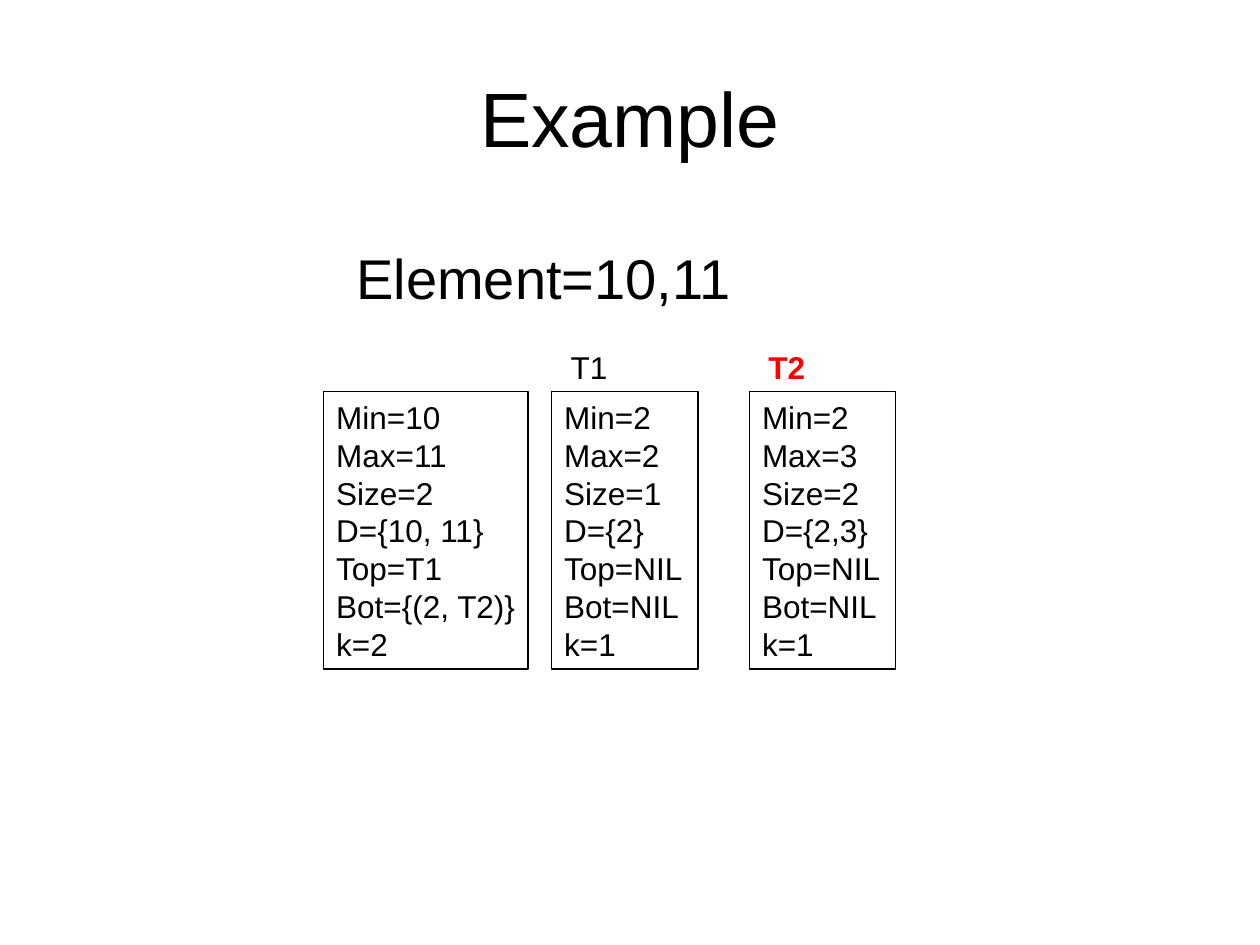
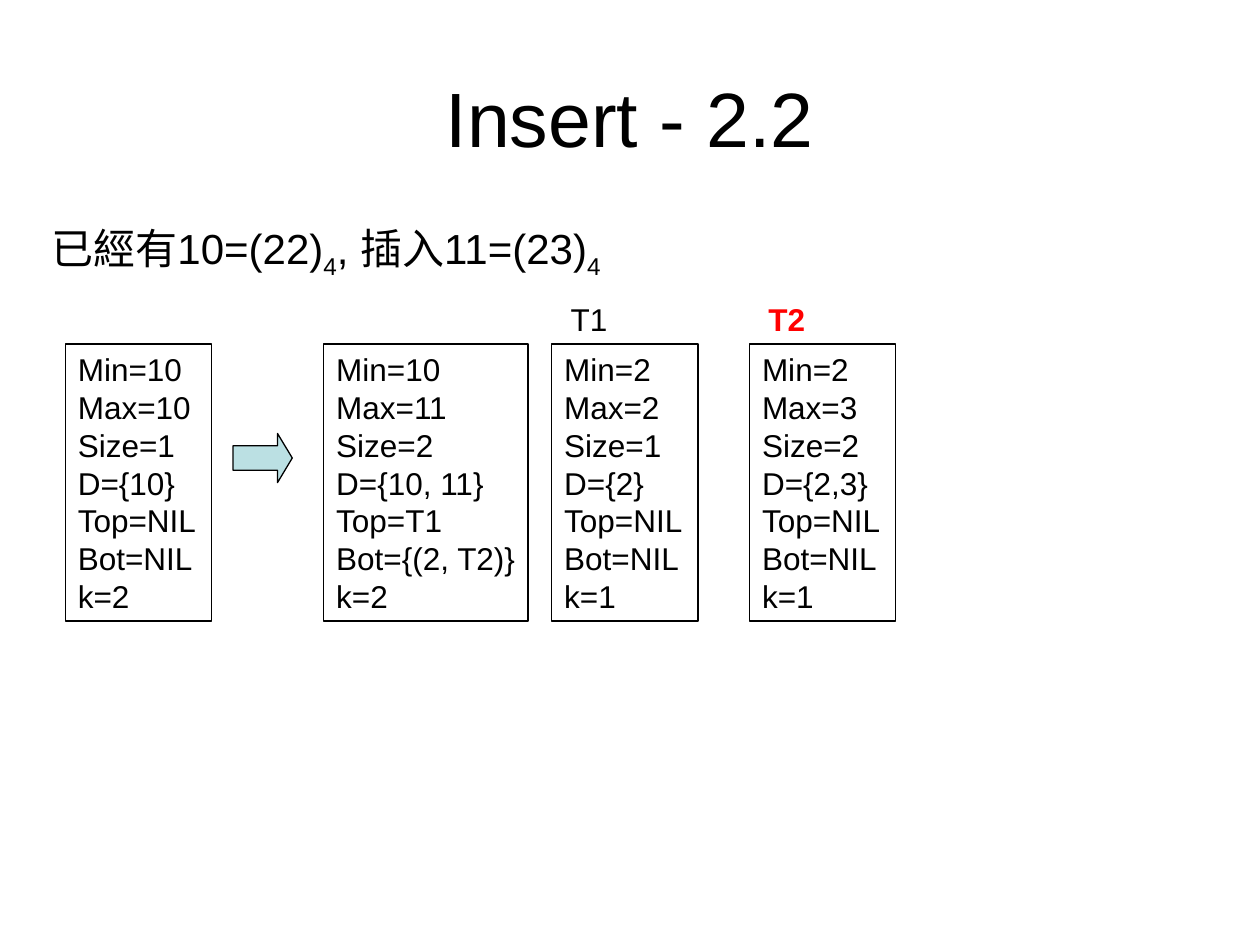
from dataclasses import dataclass

from pptx import Presentation
from pptx.dml.color import RGBColor
from pptx.enum.shapes import MSO_SHAPE
from pptx.enum.text import MSO_ANCHOR, MSO_AUTO_SIZE, PP_ALIGN
from pptx.util import Inches, Pt

RECTANGLE = MSO_SHAPE.RECTANGLE
RIGHT_ARROW = MSO_SHAPE.RIGHT_ARROW
TOP, MIDDLE = MSO_ANCHOR.TOP, MSO_ANCHOR.MIDDLE
GROW = MSO_AUTO_SIZE.SHAPE_TO_FIT_TEXT
LEFT, CENTER = PP_ALIGN.LEFT, PP_ALIGN.CENTER
TITLE_ONLY = 5


@dataclass(frozen=True)
class Theme:
    font: str = "Arial"
    ink: RGBColor = RGBColor(0x00, 0x00, 0x00)
    accent: RGBColor = RGBColor(0xFF, 0x00, 0x00)
    arrow: RGBColor = RGBColor(0xBB, 0xE0, 0xE3)
    title: Pt = Pt(44)
    headline: Pt = Pt(32)
    statement: Pt = Pt(24)
    body: Pt = Pt(18)
    outline: Pt = Pt(0.75)


THEME = Theme()
FIELDS = ("Min", "Max", "Size", "D", "Top", "Bot", "k")
NODE_HEIGHT = 2.2
LABEL_HEIGHT, LABEL_WIDTH = 0.4, 0.49
LABEL_INDENT = 0.05
WIDE, NARROW = 1.62, 1.16

NODE_BEFORE = ("10", "10", "1", "{10}", "NIL", "NIL", "2")
NODE_AFTER = ("10", "11", "2", "{10, 11}", "T1", "{(2, T2)}", "2")
NODE_T1 = ("2", "2", "1", "{2}", "NIL", "NIL", "1")
NODE_T2 = ("2", "3", "2", "{2,3}", "NIL", "NIL", "1")


def style_text(frame, size, color=THEME.ink, bold=False, align=LEFT):
    for paragraph in frame.paragraphs:
        paragraph.alignment = align
        font = paragraph.font
        font.name, font.size, font.bold = THEME.font, size, bold
        font.color.rgb = color


def add_text(slide, box, text, size, color=THEME.ink, bold=False, wrap=False):
    frame = slide.shapes.add_textbox(*map(Inches, box)).text_frame
    frame.word_wrap = wrap
    frame.auto_size = GROW
    frame.text = text
    style_text(frame, size, color, bold)
    return frame


def add_outlined(slide, preset, box):
    shape = slide.shapes.add_shape(preset, *map(Inches, box))
    shape.shadow.inherit = False
    shape.line.color.rgb = THEME.ink
    shape.line.width = THEME.outline
    return shape


def add_titled_slide(prs, text):
    slide = prs.slides.add_slide(prs.slide_layouts[TITLE_ONLY])
    title = slide.shapes.title
    title.left, title.top = Inches(0.5), Inches(0.3)
    title.width, title.height = Inches(9), Inches(1.25)
    title.text_frame.text = text
    title.text_frame.vertical_anchor = MIDDLE
    style_text(title.text_frame, THEME.title, align=CENTER)
    return slide


def add_node(slide, left, top, width, values):
    """List the fields of one tree node in an outlined box."""
    node = add_outlined(slide, RECTANGLE, (left, top, width, NODE_HEIGHT))
    node.fill.background()
    frame = node.text_frame
    frame.word_wrap = False
    frame.auto_size = GROW
    frame.vertical_anchor = TOP
    frame.text = "\n".join(f"{field}={value}" for field, value in zip(FIELDS, values))
    style_text(frame, THEME.body)


def add_tree(slide, left, top):
    """Place the root node and its labelled subtrees T1 and T2 in a row."""
    add_node(slide, left, top, WIDE, NODE_AFTER)
    subtrees = (
        ("T1", 1.81, NODE_T1, THEME.ink, False),
        ("T2", 3.38, NODE_T2, THEME.accent, True),
    )
    for label, offset, values, color, bold in subtrees:
        add_node(slide, left + offset, top, NARROW, values)
        label_box = (left + offset + LABEL_INDENT, top - LABEL_HEIGHT,
                     LABEL_WIDTH, LABEL_HEIGHT)
        add_text(slide, label_box, label, THEME.body, color, bold)


def add_insert_step(slide, left, top):
    """Show the node before the insertion and the arrow to the result."""
    add_node(slide, left, top, NARROW, NODE_BEFORE)
    arrow = add_outlined(slide, RIGHT_ARROW, (left + 1.33, top + 0.71, 0.47, 0.39))
    arrow.adjustments[0], arrow.adjustments[1] = 0.5, 0.3
    arrow.fill.solid()
    arrow.fill.fore_color.rgb = THEME.arrow


def add_statement(slide, box, terms):
    """Write numbers, each followed by its base as a subscript."""
    frame = add_text(slide, box, "", THEME.statement)
    paragraph = frame.paragraphs[0]
    for number, base in terms:
        paragraph.add_run().text = number
        subscript = paragraph.add_run()
        subscript.text = base
        subscript._r.get_or_add_rPr().set("baseline", "-25000")


def build_example(prs):
    slide = add_titled_slide(prs, "Example")
    add_tree(slide, 2.57, 3.11)
    elements = add_text(slide, (2.73, 1.94, 3.95, 0.58), "Element=10,11",
                        THEME.headline, wrap=True)
    elements.paragraphs[0].line_spacing = 0.9


def build_insert(prs):
    slide = add_titled_slide(prs, "Insert - 2.2")
    node_top = 2.73
    add_insert_step(slide, 0.52, node_top)
    add_tree(slide, 2.57, node_top)
    add_statement(slide, (0.31, 1.72, 4.82, 0.56),
                  (("已經有10=(22)", "4"), (", 插入11=(23)", "4")))


def main():
    prs = Presentation()
    prs.slide_width, prs.slide_height = Inches(10), Inches(7.5)
    build_example(prs)
    build_insert(prs)
    prs.save("out.pptx")


if __name__ == "__main__":
    main()
